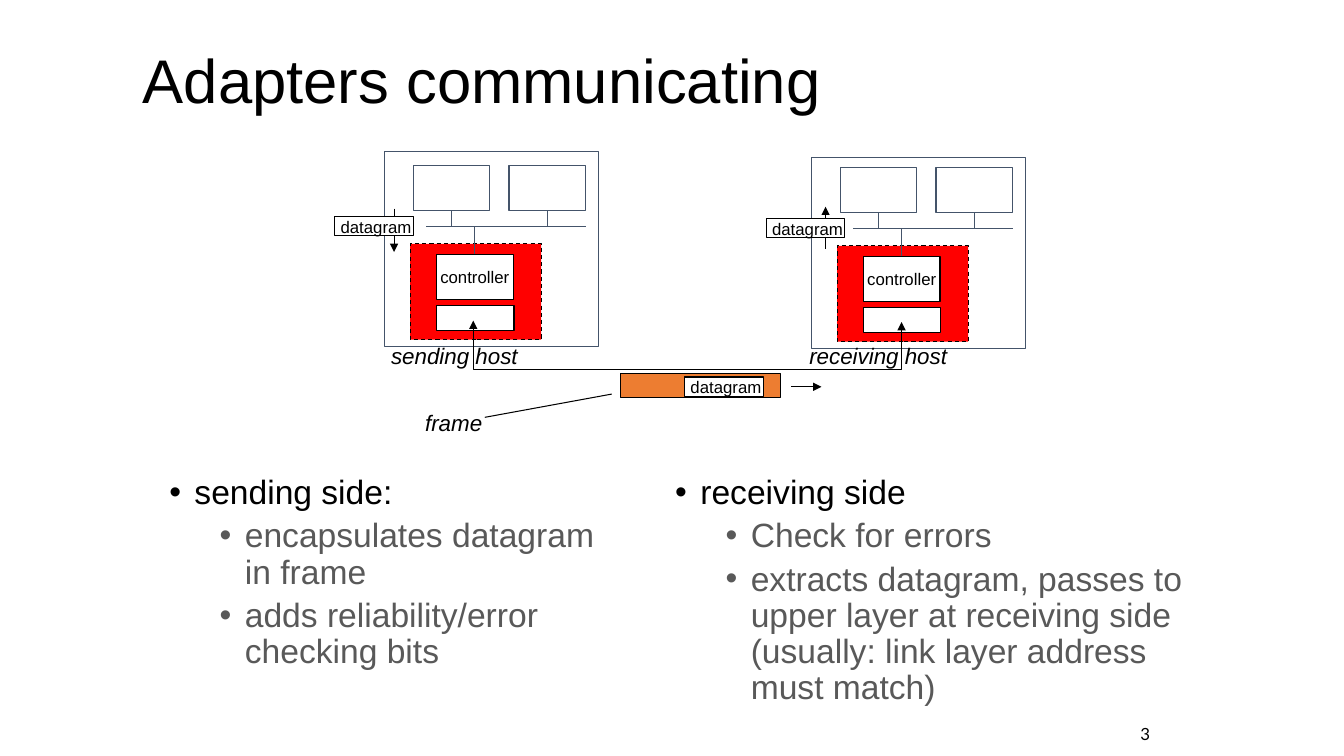
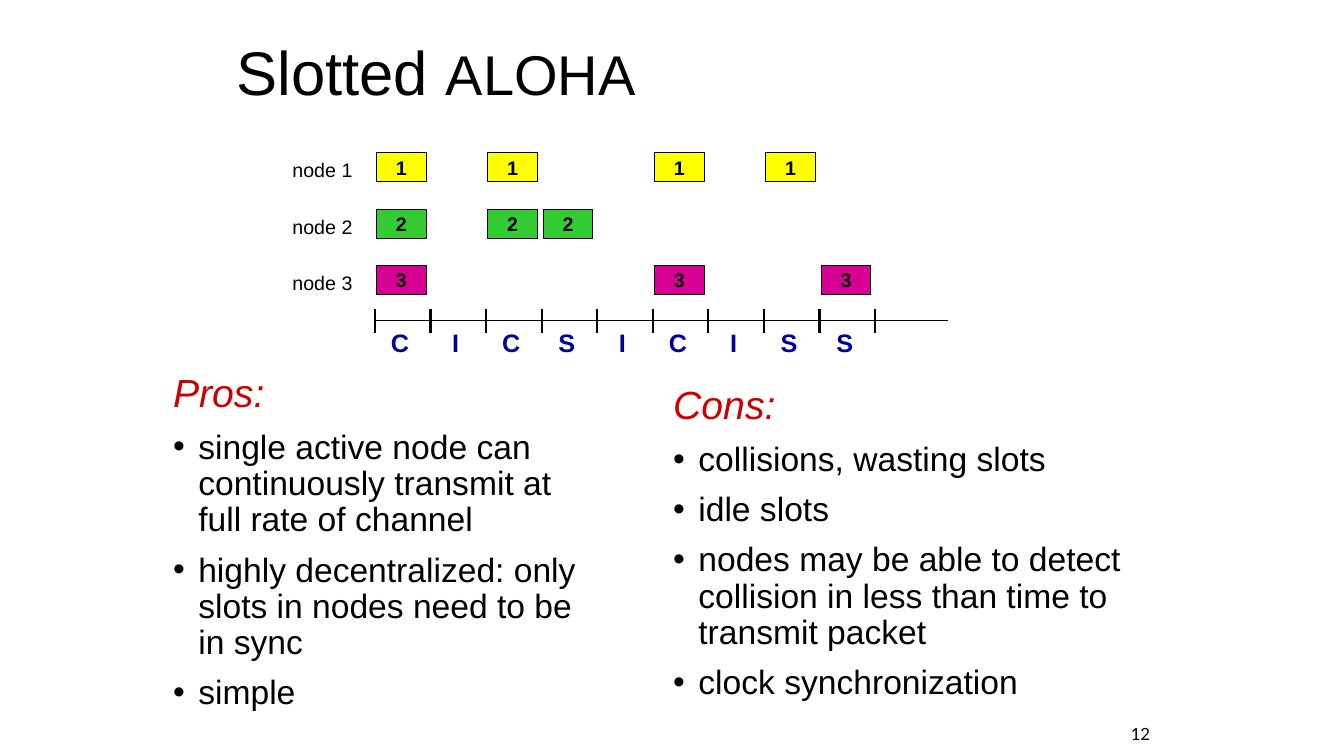
from lxml.etree import SubElement
from pptx import Presentation
from pptx.dml.color import RGBColor
from pptx.enum.dml import MSO_LINE
from pptx.enum.shapes import MSO_CONNECTOR, MSO_SHAPE
from pptx.enum.text import MSO_ANCHOR as Anchor, PP_ALIGN as Align
from pptx.oxml.ns import qn
from pptx.util import Pt

FONT = "Arial"
NUMBER_FONT = "Lato"
BLACK, WHITE, GREY = "000000", "FFFFFF", "595959"
SLATE, RED, ORANGE = "44546A", "FF0000", "ED7D31"
HEADING_RED, NAVY = "CC0000", "000099"
NODE_FILLS = {1: "FFFF00", 2: "33CC33", 3: "D60093"}


def color(hex_string):
    return RGBColor.from_string(hex_string)


def style_font(font, size, fill=BLACK, bold=False, italic=False, name=FONT):
    font.name, font.size, font.bold, font.italic = name, Pt(size), bold, italic
    font.color.rgb = color(fill)


def add_text(page, left, top, width, height, text, size, align=Align.LEFT,
             anchor=Anchor.TOP, **font_style):
    box = page.shapes.add_textbox(Pt(left), Pt(top), Pt(width), Pt(height))
    box.text_frame.word_wrap = True
    box.text_frame.vertical_anchor = anchor
    para = box.text_frame.paragraphs[0]
    para.text = text
    para.alignment = align
    style_font(para.font, size, **font_style)
    return para


def add_box(page, left, top, width, height, fill=WHITE, line=BLACK, dashed=False):
    box = page.shapes.add_shape(MSO_SHAPE.RECTANGLE, Pt(left), Pt(top), Pt(width), Pt(height))
    box.shadow.inherit = False
    box.fill.solid()
    box.fill.fore_color.rgb = color(fill)
    box.line.color.rgb = color(line)
    box.line.width = Pt(0.75)
    if dashed:
        box.line.dash_style = MSO_LINE.DASH
    return box


def label_box(box, text, size, align=Align.CENTER, anchor=Anchor.MIDDLE,
              inset=0, bold=False):
    """Write one line of text inside a box, with no margin but the left inset."""
    frame = box.text_frame
    frame.word_wrap = False
    frame.vertical_anchor = anchor
    frame.margin_left = Pt(inset)
    frame.margin_top = frame.margin_right = frame.margin_bottom = 0
    para = frame.paragraphs[0]
    para.text = text
    para.alignment = align
    style_font(para.font, size, bold=bold)


def add_arrowheads(shape, *ends):
    outline = shape._element.spPr.find(qn("a:ln"))
    for end in ends:
        SubElement(outline, qn(f"a:{end}"), type="triangle")


def add_line(page, x1, y1, x2, y2, line=BLACK, weight=0.75, arrow=False):
    connector = page.shapes.add_connector(
        MSO_CONNECTOR.STRAIGHT, Pt(x1), Pt(y1), Pt(x2), Pt(y2))
    connector.line.color.rgb = color(line)
    connector.line.width = Pt(weight)
    SubElement(connector._element.spPr, qn("a:effectLst"))
    if arrow:
        add_arrowheads(connector, "tailEnd")
    return connector


def add_title(page, left, top, width, *parts):
    """Add a title made of (text, size) parts; the first sets the paragraph."""
    para = add_text(page, left, top, width, 90, parts[0][0], parts[0][1],
                    anchor=Anchor.MIDDLE)
    para.line_spacing = 0.9
    for text, size in parts[1:]:
        span = para.add_run()
        span.text = text
        span.font.size = Pt(size)


def add_page_number(page, number):
    add_text(page, 785.5, 513.4, 43.2, 21.6, str(number), 12, Align.RIGHT,
             Anchor.MIDDLE, name=NUMBER_FONT)


def add_body(page, left, top, width, height, items):
    """Add a column of (kind, text) items: heading, bullet or sub-bullet."""
    box = page.shapes.add_textbox(Pt(left), Pt(top), Pt(width), Pt(height))
    frame = box.text_frame
    frame.word_wrap = True
    for index, (kind, text) in enumerate(items):
        para = frame.paragraphs[0] if index == 0 else frame.add_paragraph()
        para.text = text
        para.level = 1 if kind == "sub" else 0
        properties = para._p.get_or_add_pPr()
        properties.set("marL", str(Pt(54 if kind == "sub" else 18)))
        properties.set("indent", str(Pt(-18)))
        if kind != "heading":
            SubElement(properties, qn("a:buFont"), typeface=FONT)
            SubElement(properties, qn("a:buChar"), char="•")
        para.line_spacing = 0.9
        if index:
            para.space_before = Pt(5 if kind == "sub" else 10)
        if kind == "heading":
            style_font(para.font, 28, HEADING_RED, italic=True)
        else:
            style_font(para.font, 24, GREY if kind == "sub" else BLACK)


def add_host(page, left, top, width, height):
    """Draw a host: two units on a bus above its network adapter."""
    bottom = top + height
    bus = bottom - 85.5
    add_box(page, left, top, width, height, line=SLATE)
    add_box(page, left + 18.5, bottom - 73.3, 93.6, 68.4, RED, dashed=True)
    add_box(page, left + 37.3, bottom - 29.3, 55.4, 18)
    controller = add_box(page, left + 37.3, bottom - 66, 54.7, 32.4)
    label_box(controller, "controller", 12)
    add_line(page, left + 30, bus, left + 144, bus, SLATE)
    stem_x = left + 37.3 + 54.7 / 2
    stem = add_line(page, stem_x, bottom - 66, stem_x, bus, SLATE)
    stem.begin_connect(controller, 0)
    for unit_left in (left + 20.7, left + 89.1):
        unit = add_box(page, unit_left, bottom - 129.5, 54.7, 32.4, line=SLATE)
        drop_x = unit_left + 54.7 / 2
        drop = add_line(page, drop_x, bus, drop_x, bottom - 97.1, SLATE)
        drop.end_connect(unit, 2)


def add_datagram(page, left, top):
    label_box(add_box(page, left, top, 56.2, 13.7), "datagram", 12,
              Align.LEFT, Anchor.TOP, inset=4.3)


def add_wire(page, points):
    builder = page.shapes.build_freeform(*points[0], scale=Pt(1))
    builder.add_line_segments(points[1:], close=False)
    wire = builder.convert_to_shape()
    wire.shadow.inherit = False
    wire.fill.background()
    wire.line.color.rgb = color(BLACK)
    wire.line.width = Pt(0.75)
    add_arrowheads(wire, "headEnd", "tailEnd")


def add_frame(page, left, top):
    """Draw the frame in transit, with its datagram, direction and name."""
    add_box(page, left, top, 113.8, 16.6, ORANGE)
    add_datagram(page, left + 45.4, top + 2.2)
    add_line(page, left + 121.7, top + 9.2, left + 143.3, top + 9.2, arrow=True)
    add_text(page, left - 146.9, top + 21.6, 70, 26.6, "frame", 16, italic=True)
    add_line(page, left - 97.2, top + 31, left - 6.5, top + 14.4)


def add_timeline(page, left, top, width, outcomes, sent):
    """Draw the frames each node sends per slot above a slotted time axis."""
    slot, row, axis = 39.7, 40.3, top + 120
    for node, slots in sent.items():
        row_top = top + (node - 1) * row
        add_text(page, left - 66, row_top + 0.5, 62, 23.8, f"node {node}", 14)
        for index in slots:
            frame = add_box(page, left + 1.2 + index * slot, row_top, 35.5, 21,
                            NODE_FILLS[node])
            label_box(frame, str(node), 14, bold=True)
    add_line(page, left, axis, left + width, axis)
    for index in range(len(outcomes) + 1):
        x = left + index * slot
        add_line(page, x, axis - 8, x, axis + 9, weight=1.5)
    for index, outcome in enumerate(outcomes):
        add_text(page, left + index * slot, axis + 1.2, 36, 28.8, outcome, 18,
                 Align.CENTER, fill=NAVY, bold=True)


def build_adapters(page):
    add_title(page, 95, 15, 612, ("Adapters communicating", 44))
    add_host(page, 274.5, 108, 153, 139.5)
    add_host(page, 579.5, 112.5, 153, 136.5)
    add_text(page, 272.2, 241, 120, 26.6, "sending host", 16, italic=True)
    add_text(page, 571, 241, 130, 26.6, "receiving host", 16, italic=True)
    add_line(page, 281.5, 149, 281.5, 180, arrow=True)
    add_datagram(page, 239, 154.8)
    add_line(page, 589.7, 177.8, 589.7, 147.6, arrow=True)
    add_datagram(page, 547.2, 156.2)
    add_wire(page, [(337.7, 229), (337.7, 263.5), (643.7, 263.5), (643.7, 230.4)])
    add_frame(page, 443.5, 267.1)
    add_body(page, 113.8, 336.2, 320.4, 177, [
        ("bullet", "sending side:"),
        ("sub", "encapsulates datagram in frame"),
        ("sub", "adds reliability/error checking bits"),
    ])
    add_body(page, 475.2, 336.2, 395.3, 183, [
        ("bullet", "receiving side"),
        ("sub", "Check for errors"),
        ("sub", "extracts datagram, passes to upper layer at receiving side "
                "(usually: link layer address must match)"),
    ])
    add_page_number(page, 3)


def build_aloha(page):
    add_title(page, 162, 8.6, 390, ("Slotted ", 44), ("ALOHA", 40))
    add_timeline(page, 267.8, 109, 409.7, "CICSICISS",
                 {1: (0, 2, 5, 7), 2: (0, 2, 3), 3: (0, 5, 8)})
    add_body(page, 116.6, 263.5, 309.6, 252, [
        ("heading", "Pros:"),
        ("bullet", "single active node can continuously transmit at full rate of channel"),
        ("bullet", "highly decentralized: only slots in nodes need to be in sync"),
        ("bullet", "simple"),
    ])
    add_body(page, 473.8, 272.2, 362.9, 252, [
        ("heading", "Cons:"),
        ("bullet", "collisions, wasting slots"),
        ("bullet", "idle slots"),
        ("bullet", "nodes may be able to detect collision in less than time to transmit packet"),
        ("bullet", "clock synchronization"),
    ])
    add_page_number(page, 12)


def main():
    deck = Presentation()
    deck.slide_width, deck.slide_height = Pt(960), Pt(540)
    for build in (build_adapters, build_aloha):
        build(deck.slides.add_slide(deck.slide_layouts[6]))
    deck.save("out.pptx")


if __name__ == "__main__":
    main()
